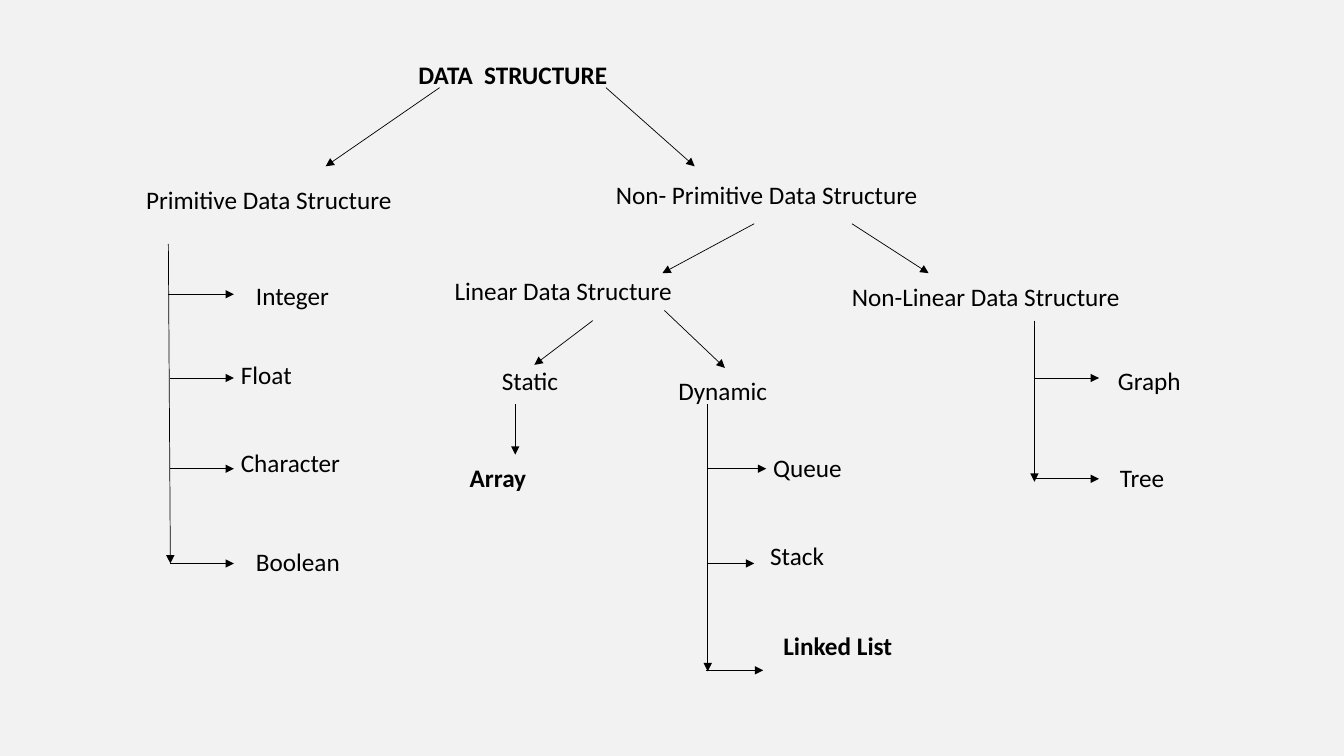
from lxml.etree import SubElement
from pptx import Presentation
from pptx.dml.color import RGBColor
from pptx.enum.shapes import MSO_CONNECTOR
from pptx.enum.text import MSO_ANCHOR, MSO_AUTO_SIZE, PP_ALIGN
from pptx.oxml.ns import qn
from pptx.util import Inches, Pt

COLORS = {"background": "F2F2F2", "ink": "000000"}
FONT = "Calibri"
LABEL_HEIGHT = 0.4

# Heading: text, left, top, width
HEADING = ("DATA  STRUCTURE", 4.05, 0.54, 2.39)

# Labels: text, left, top, width
LABELS = [
    ("Primitive Data Structure", 1.35, 1.78, 3.21),
    ("Integer", 2.44, 2.73, 1.82),
    ("Float", 2.29, 3.52, 1.32),
    ("Character", 2.29, 4.39, 1.57),
    ("Boolean", 2.44, 5.37, 1.41),
    ("Non- Primitive Data Structure", 6.01, 1.73, 4.34),
    ("Linear Data Structure", 4.41, 2.68, 3.15),
    ("Static", 4.88, 3.58, 1.16),
    ("Array", 4.56, 4.54, 1.36),
    ("Dynamic", 6.63, 3.67, 1.36),
    ("Queue", 7.57, 4.44, 1.3),
    ("Stack", 7.54, 5.31, 1.28),
    ("Linked List", 7.67, 6.2, 1.98),
    ("Non-Linear Data Structure", 8.35, 2.74, 3.88),
    ("Graph", 10.99, 3.58, 1.3),
    ("Tree", 11.01, 4.54, 1.08),
]
BOLD_LABELS = {"Array", "Linked List"}

# Arrows from a parent to a child: x1, y1, x2, y2
SPLITS = [
    (4.36, 0.87, 3.23, 1.65),
    (6.01, 0.87, 6.89, 1.65),
    (7.48, 2.22, 6.57, 2.71),
    (8.45, 2.22, 9.21, 2.71),
    (5.88, 3.18, 5.3, 3.62),
    (6.59, 3.08, 7.19, 3.65),
    (5.11, 4.01, 5.11, 4.51),
]

# Trunks with side branches: trunk arrow, then (start x, end x, y) per branch
TRUNKS = [
    ((1.67, 2.42, 1.69, 5.59),
     [(1.67, 2.32, 2.92), (1.69, 2.32, 3.75), (1.69, 2.32, 4.65), (1.69, 2.32, 5.59)]),
    ((7.02, 4.01, 7.02, 6.66),
     [(7.02, 7.6, 4.65), (7.02, 7.48, 5.59), (7, 7.57, 6.65)]),
    ((10.26, 3.18, 10.26, 4.78),
     [(10.26, 10.9, 3.75), (10.26, 10.9, 4.75)]),
]


def color(name):
    return RGBColor.from_string(COLORS[name])


def add_arrow(slide, x1, y1, x2, y2):
    arrow = slide.shapes.add_connector(
        MSO_CONNECTOR.STRAIGHT, Inches(x1), Inches(y1), Inches(x2), Inches(y2))
    arrow.line.color.rgb = color("ink")
    arrow.line.width = Pt(0.5)
    SubElement(arrow.line._get_or_add_ln(), qn("a:tailEnd"), type="triangle")
    SubElement(arrow._element.spPr, qn("a:effectLst"))


def fill_label(label, text, left, top, width, bold):
    label.left, label.top = Inches(left), Inches(top)
    label.width, label.height = Inches(width), Inches(LABEL_HEIGHT)
    frame = label.text_frame
    frame.text = text
    frame.word_wrap = True
    frame.auto_size = MSO_AUTO_SIZE.SHAPE_TO_FIT_TEXT
    frame.vertical_anchor = MSO_ANCHOR.TOP
    paragraph = frame.paragraphs[0]
    paragraph.alignment = PP_ALIGN.LEFT
    paragraph.line_spacing = 1.0
    paragraph.space_before = Pt(0)
    paragraph.font.name = FONT
    paragraph.font.size = Pt(18)
    paragraph.font.bold = bold
    paragraph.font.color.rgb = color("ink")


def main():
    deck = Presentation()
    deck.slide_width, deck.slide_height = Inches(13.33), Inches(7.5)
    slide = deck.slides.add_slide(deck.slide_layouts.get_by_name("Title Only"))
    slide.background.fill.solid()
    slide.background.fill.fore_color.rgb = color("background")

    # Arrows
    for split in SPLITS:
        add_arrow(slide, *split)
    for trunk, branches in TRUNKS:
        add_arrow(slide, *trunk)
        for start, end, y in branches:
            add_arrow(slide, start, y, end, y)

    # Heading and labels
    fill_label(slide.shapes.title, *HEADING, bold=True)
    for text, left, top, width in LABELS:
        label = slide.shapes.add_textbox(0, 0, 0, 0)
        fill_label(label, text, left, top, width, bold=text in BOLD_LABELS)

    deck.save("out.pptx")


if __name__ == "__main__":
    main()
